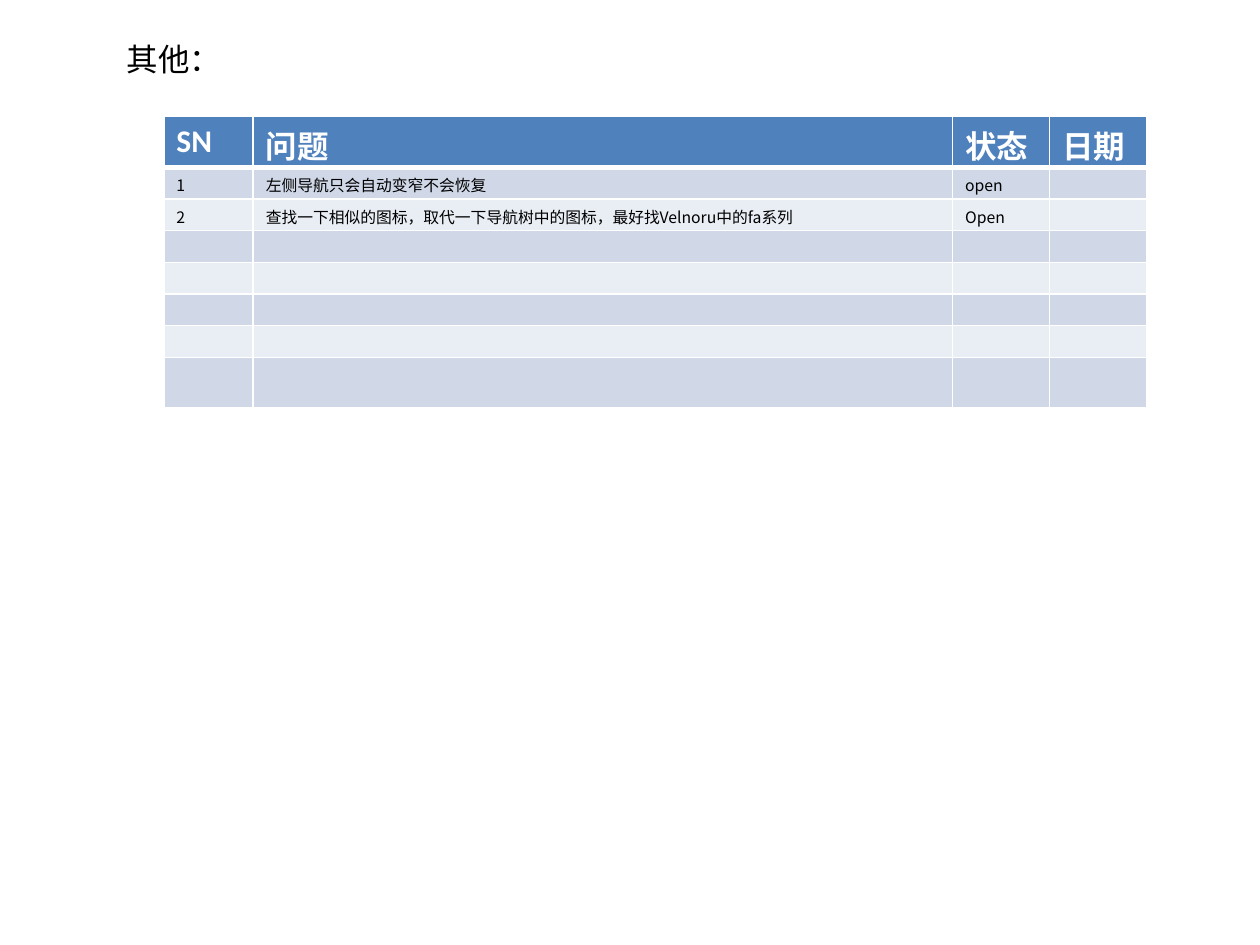
import lxml.etree
import pptx
import pptx.dml.color
import pptx.enum.text
import pptx.oxml.ns
import pptx.util

Pt = pptx.util.Pt
qn = pptx.oxml.ns.qn

COLUMN_WIDTHS = [51.1, 399.6, 55.4, 55.4]
ROW_HEIGHTS = [29.5] + [18.1] * 6 + [28.8]
ISSUES = [
    ["SN", "问题", "状态", "日期"],
    ["1", "左侧导航只会自动变窄不会恢复", "open", ""],
    ["2", "查找一下相似的图标，取代一下导航树中的图标，最好找Velnoru中的fa系列", "Open", ""],
]


def color(value):
    return pptx.dml.color.RGBColor.from_string(value)


class IssueSlide:
    heading_font = "Calibri"
    body_font = "Noto Sans CJK SC"
    heading_size = 18
    body_size = 9
    black = "000000"
    white = "FFFFFF"
    header_fill = "4F81BD"
    band_fills = ["D0D8E8", "E9EDF4"]

    def __init__(self, presentation):
        self.slide = presentation.slides.add_slide(presentation.slide_layouts[6])

    def style_run(self, run, font, size, font_color, bold=False):
        run.font.name = font
        run.font.size = Pt(size)
        run.font.bold = bold
        run.font.color.rgb = color(font_color)
        if font == self.body_font:
            self.add_east_asian_font(run.font._element)

    def add_east_asian_font(self, properties):
        """Use the body font for Chinese characters as well."""
        east_asian = lxml.etree.Element(qn("a:ea"), typeface=self.body_font)
        properties.find(qn("a:latin")).addnext(east_asian)

    def add_title(self, text, left, top, width, height):
        box = self.slide.shapes.add_textbox(Pt(left), Pt(top), Pt(width), Pt(height))
        frame = box.text_frame
        frame.word_wrap = False
        frame.auto_size = pptx.enum.text.MSO_AUTO_SIZE.SHAPE_TO_FIT_TEXT
        frame.text = text
        self.style_run(frame.paragraphs[0].runs[0], self.heading_font,
                       self.heading_size, self.black)

    def set_borders(self, cell, **widths):
        """Draw white borders; widths maps L, R, T and B to points."""
        properties = cell._tc.get_or_add_tcPr()
        for position, (side, width) in enumerate(widths.items()):
            line = lxml.etree.Element(qn(f"a:ln{side}"), w=str(Pt(width)))
            fill = lxml.etree.SubElement(line, qn("a:solidFill"))
            lxml.etree.SubElement(fill, qn("a:srgbClr"), val=self.white)
            properties.insert(position, line)

    def set_empty_cell_size(self, paragraph):
        """Keep an empty cell from stretching its row."""
        end = lxml.etree.SubElement(paragraph._p, qn("a:endParaRPr"),
                                    sz=str(self.body_size * 100))
        lxml.etree.SubElement(end, qn("a:latin"), typeface=self.body_font)
        self.add_east_asian_font(end)

    def fill_cell(self, cell, text, row):
        is_header = row == 0
        cell.fill.solid()
        cell.fill.fore_color.rgb = color(
            self.header_fill if is_header else self.band_fills[(row - 1) % 2])
        self.set_borders(cell, L=1, R=1, T=3 if row == 1 else 1, B=3 if is_header else 1)
        paragraph = cell.text_frame.paragraphs[0]
        if not text:
            self.set_empty_cell_size(paragraph)
            return
        paragraph.text = text
        if is_header:
            style = (self.heading_font, self.heading_size, self.white, True)
        else:
            style = (self.body_font, self.body_size, self.black)
        self.style_run(paragraph.runs[0], *style)

    def add_table(self, rows, left, top, column_widths, row_heights):
        frame = self.slide.shapes.add_table(
            len(row_heights), len(column_widths), Pt(left), Pt(top),
            Pt(sum(column_widths)), Pt(sum(row_heights)))
        table = frame.table
        for column, width in zip(table.columns, column_widths):
            column.width = Pt(width)
        for row, height in enumerate(row_heights):
            table.rows[row].height = Pt(height)
            texts = rows[row] if row < len(rows) else [""] * len(column_widths)
            for column, text in enumerate(texts):
                self.fill_cell(table.cell(row, column), text, row)


def main():
    presentation = pptx.Presentation()
    presentation.slide_width = Pt(720)
    presentation.slide_height = Pt(540)
    issue_slide = IssueSlide(presentation)
    issue_slide.add_title("其他：", 65.5, 19.4, 69.1, 28.8)
    issue_slide.add_table(ISSUES, 93.6, 66.2, COLUMN_WIDTHS, ROW_HEIGHTS)
    presentation.save("out.pptx")


if __name__ == "__main__":
    main()
